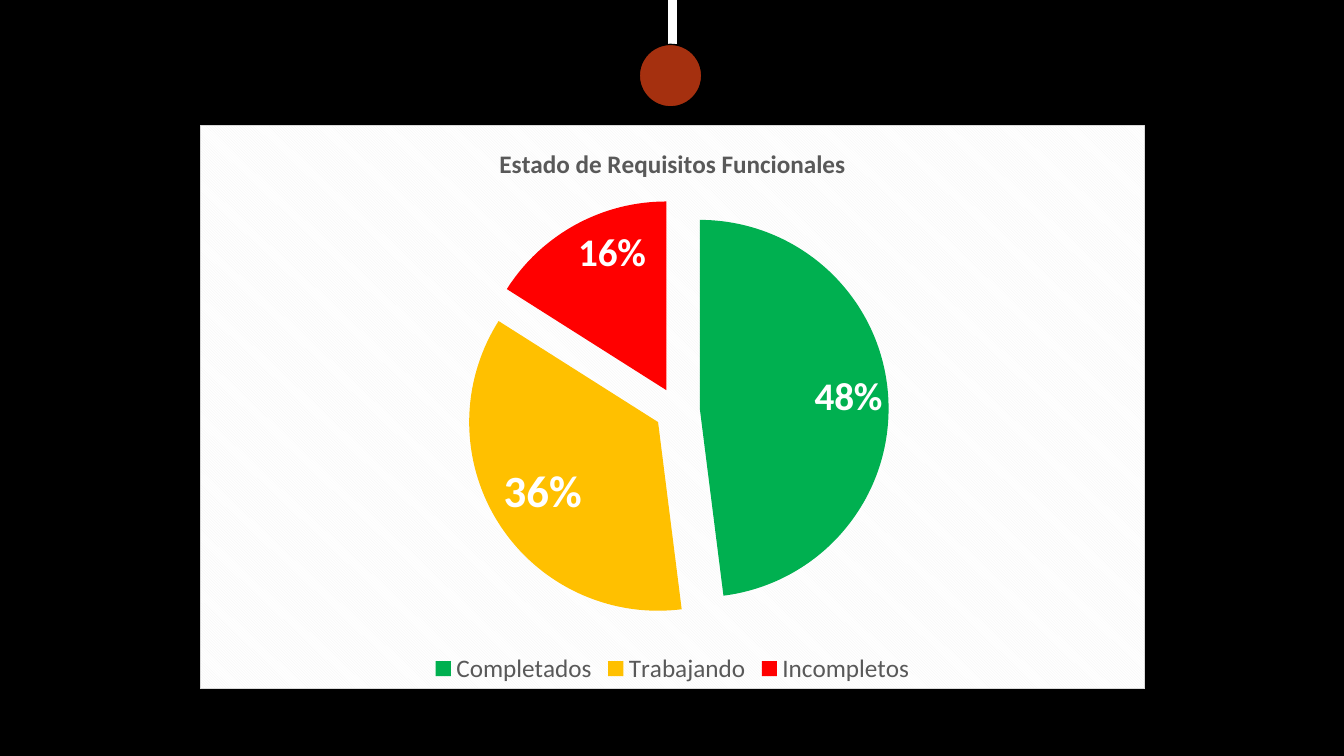
from dataclasses import dataclass

from pptx import Presentation
from pptx.chart.data import CategoryChartData
from pptx.dml.color import RGBColor
from pptx.enum.chart import XL_CHART_TYPE, XL_LABEL_POSITION, XL_LEGEND_POSITION
from pptx.enum.shapes import MSO_CONNECTOR, MSO_SHAPE
from pptx.oxml import parse_xml
from pptx.oxml.ns import nsdecls, qn
from pptx.util import Inches, Pt


@dataclass(frozen=True)
class Theme:
    font: str = "Calibri"
    black: str = "000000"
    white: str = "FFFFFF"
    text: str = "595959"
    stripe: str = "F2F2F2"
    border: str = "D9D9D9"
    pendant: str = "A5300F"
    base_size: int = 10
    title_size: int = 18
    legend_size: int = 18


THEME = Theme()
TITLE = "Estado de Requisitos Funcionales"
# Category, percentage, slice colour, label size
STATUSES = [
    ("Completados", 48, "00B050", 28),
    ("Trabajando", 36, "FFC000", 32),
    ("Incompletos", 16, "FF0000", 28),
]
EXPLOSION = 12


def rgb(value):
    return RGBColor.from_string(value)


def style_font(font, size, color, bold=False):
    font.name = THEME.font
    font.size = Pt(size)
    font.color.rgb = rgb(color)
    font.bold = bold


def fill_chart_background(chart):
    """Give the chart area diagonal stripes and a thin border."""
    sp_pr = parse_xml(
        f'<c:spPr {nsdecls("c", "a")}>'
        f'<a:pattFill prst="dkDnDiag">'
        f'<a:fgClr><a:srgbClr val="{THEME.stripe}"/></a:fgClr>'
        f'<a:bgClr><a:srgbClr val="{THEME.white}"/></a:bgClr></a:pattFill>'
        f'<a:ln w="{Pt(0.75)}"><a:solidFill><a:srgbClr val="{THEME.border}"/>'
        f'</a:solidFill></a:ln></c:spPr>'
    )
    chart.element.find(qn("c:chart")).addnext(sp_pr)


def place_plot(chart, x, y, w, h):
    """Fix the plot area, in fractions of the chart."""
    plot_area = chart.element.find(qn("c:chart")).find(qn("c:plotArea"))
    old = plot_area.find(qn("c:layout"))
    if old is not None:
        plot_area.remove(old)
    values = "".join(
        f'<c:{tag} val="{value}"/>' for tag, value in zip("xywh", (x, y, w, h))
    )
    plot_area.insert(0, parse_xml(
        f'<c:layout {nsdecls("c")}><c:manualLayout><c:layoutTarget val="inner"/>'
        f'<c:xMode val="edge"/><c:yMode val="edge"/>{values}'
        f'</c:manualLayout></c:layout>'
    ))


def style_slices(plot):
    plot.vary_by_categories = True
    series = plot.series[0]
    labels = series.data_labels
    labels.show_percentage = True
    labels.show_value = False
    labels.position = XL_LABEL_POSITION.INSIDE_END
    style_font(labels.font, THEME.base_size, THEME.white, bold=True)
    for i, (_, _, color, size) in enumerate(STATUSES):
        point = series.points[i]
        point.format.fill.solid()
        point.format.fill.fore_color.rgb = rgb(color)
        label = point.data_label
        style_font(label.font, size, THEME.white, bold=True)
        label.position = XL_LABEL_POSITION.INSIDE_END
        d_lbl = labels._element.findall(qn("c:dLbl"))[i]
        d_lbl.find(qn("c:showVal")).set("val", "0")
        d_lbl.find(qn("c:showPercent")).set("val", "1")
    explosion = parse_xml(f'<c:explosion {nsdecls("c")} val="{EXPLOSION}"/>')
    series._element.find(qn("c:dPt")).addprevious(explosion)


def add_status_chart(slide, left, top, width, height):
    data = CategoryChartData()
    data.categories = [name for name, *_ in STATUSES]
    data.add_series("Requisitos", [value for _, value, *_ in STATUSES])
    chart = slide.shapes.add_chart(
        XL_CHART_TYPE.PIE, left, top, width, height, data
    ).chart
    style_font(chart.font, THEME.base_size, THEME.white)
    fill_chart_background(chart)
    place_plot(chart, 0.28, 0.13, 0.45, 0.75)

    chart.has_title = True
    tf = chart.chart_title.text_frame
    tf.text = TITLE
    style_font(tf.paragraphs[0].runs[0].font, THEME.title_size, THEME.text, bold=True)
    chart.chart_title.include_in_layout = False

    chart.has_legend = True
    chart.legend.position = XL_LEGEND_POSITION.BOTTOM
    chart.legend.include_in_layout = False
    style_font(chart.legend.font, THEME.legend_size, THEME.text)
    style_slices(chart.plots[0])


def add_pendant(slide, left, top, size, height):
    """Draw a cord down from the top of the box and a disc at its foot."""
    center, disc_top = left + size // 2 + Inches(0.02), top + height - size
    cord = slide.shapes.add_connector(
        MSO_CONNECTOR.STRAIGHT, center, top, center, disc_top
    )
    cord.line.color.rgb = rgb(THEME.white)
    cord.line.width = Pt(6)
    cord._element.spPr.append(parse_xml(f'<a:effectLst {nsdecls("a")}/>'))

    disc = slide.shapes.add_shape(MSO_SHAPE.OVAL, left, disc_top, size, size)
    disc.shadow.inherit = False
    disc.fill.solid()
    disc.fill.fore_color.rgb = rgb(THEME.pendant)
    disc.line.color.rgb = rgb(THEME.black)
    disc.line.width = Pt(1)


def main():
    prs = Presentation()
    prs.slide_width, prs.slide_height = Inches(13.33), Inches(7.5)
    s = prs.slides.add_slide(prs.slide_layouts[6])
    s.background.fill.solid()
    s.background.fill.fore_color.rgb = rgb(THEME.black)
    add_status_chart(s, Inches(1.98), Inches(1.24), Inches(9.38), Inches(5.6))
    add_pendant(s, Inches(6.34), Inches(0), Inches(0.62), Inches(1.06))
    prs.save("out.pptx")


if __name__ == "__main__":
    main()
